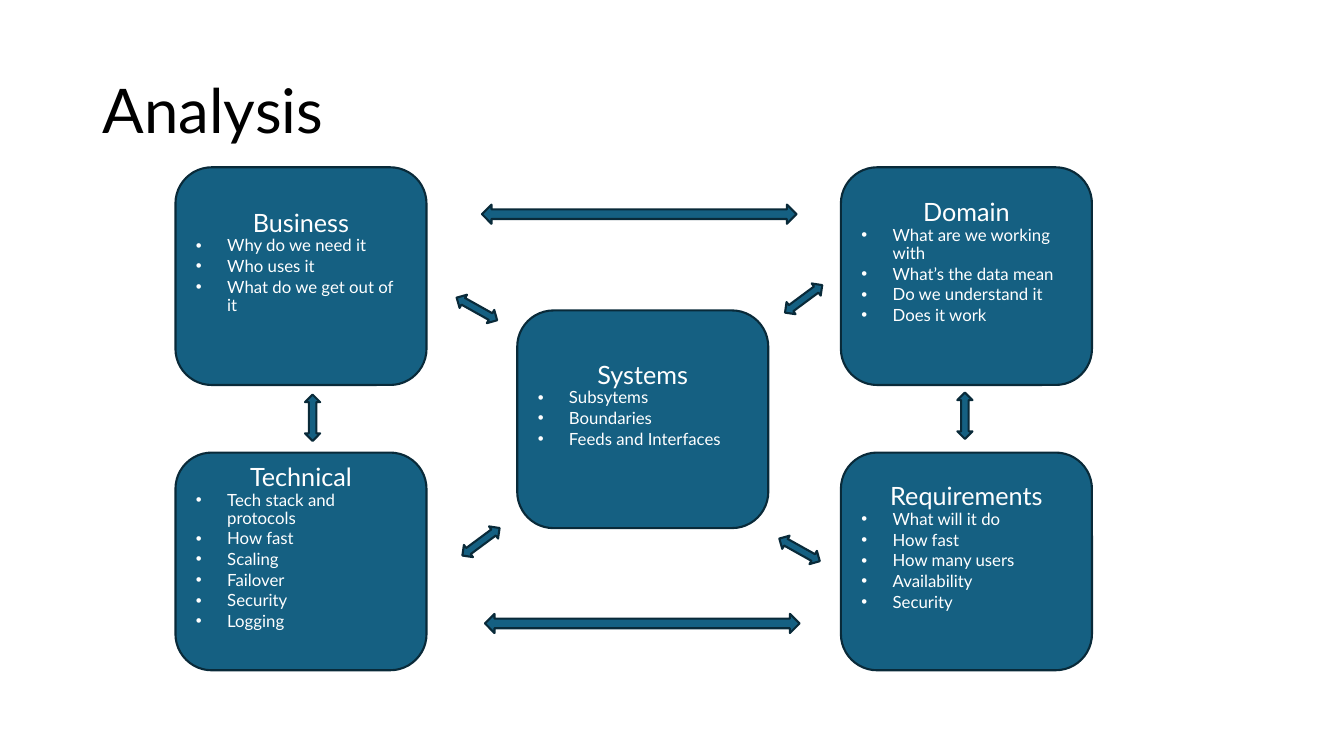
from lxml.etree import SubElement
from pptx import Presentation
from pptx.dml.color import RGBColor
from pptx.enum.shapes import MSO_SHAPE
from pptx.enum.text import MSO_ANCHOR, PP_ALIGN
from pptx.oxml.ns import qn
from pptx.util import Inches, Pt

BLUE = RGBColor(0x15, 0x60, 0x82)
NAVY = RGBColor(0x09, 0x2A, 0x39)
WHITE = RGBColor(0xFF, 0xFF, 0xFF)
BLACK = RGBColor(0x00, 0x00, 0x00)
FONT = "Lato"

# Card grid: two outer columns, two outer rows, one card between them
LEFT, CENTER, RIGHT = 1.74, 5.13, 8.34
TOP, MIDDLE, BOTTOM = 1.66, 3.08, 4.49
CARD_SIZE = (2.49, 2.16)

AREAS = [
    ("Business", LEFT, TOP,
     ["Why do we need it", "Who uses it", "What do we get out of it"]),
    ("Domain", RIGHT, TOP,
     ["What are we working with", "What’s the data mean",
      "Do we understand it", "Does it work"]),
    ("Technical", LEFT, BOTTOM,
     ["Tech stack and protocols", "How fast", "Scaling", "Failover",
      "Security", "Logging"]),
    ("Requirements", RIGHT, BOTTOM,
     ["What will it do", "How fast", "How many users", "Availability",
      "Security"]),
    ("Systems", CENTER, MIDDLE,
     ["Subsytems", "Boundaries", "Feeds and Interfaces"]),
]

# Links: left, top, rotation
LONG_LINK = (3.12, 0.19)
SHORT_LINK = (0.46, 0.15)
LONG_LINKS = [(4.78, 2.03, 0), (4.81, 6.09, 0)]
SHORT_LINKS = [
    (2.87, 4.07, 90), (9.34, 4.05, 90),
    (7.74, 2.89, 143.5), (4.54, 5.3, 143.5),
    (4.5, 2.99, 209.2), (7.7, 5.38, 209.2),
]


def write(paragraph, text, size, color=WHITE, align=PP_ALIGN.LEFT,
          line_spacing=None, space_after=None, bullet=False):
    paragraph.alignment = align
    paragraph.line_spacing = line_spacing
    paragraph.space_after = space_after
    run = paragraph.add_run()
    run.text = text
    run.font.name = FONT
    run.font.size = Pt(size)
    run.font.color.rgb = color
    if bullet:
        paragraph.level = 1
        properties = paragraph._p.get_or_add_pPr()
        properties.set("marL", str(Inches(0.31)))
        properties.set("indent", str(-Inches(0.31)))
        SubElement(properties, qn("a:buFont"), typeface="Arial")
        SubElement(properties, qn("a:buChar"), char="•")


def add_outlined(slide, preset, left, top, size, rotation=0):
    width, height = size
    outlined = slide.shapes.add_shape(
        preset, Inches(left), Inches(top), Inches(width), Inches(height))
    outlined.rotation = rotation
    outlined.shadow.inherit = False
    outlined.fill.solid()
    outlined.fill.fore_color.rgb = BLUE
    outlined.line.color.rgb = NAVY
    outlined.line.width = Pt(1.5)
    return outlined


def add_card(slide, heading, left, top, points):
    card = add_outlined(slide, MSO_SHAPE.ROUNDED_RECTANGLE, left, top,
                        CARD_SIZE)
    frame = card.text_frame
    frame.word_wrap = True
    frame.vertical_anchor = MSO_ANCHOR.MIDDLE
    # The deeper bottom margin lifts the text above the card's middle
    frame.margin_bottom = Inches(0.35)
    write(frame.paragraphs[0], heading, 18, align=PP_ALIGN.CENTER)
    for point in points:
        write(frame.add_paragraph(), point, 12, line_spacing=0.9,
              space_after=Pt(1.8), bullet=True)


def add_title(slide, text):
    title = slide.shapes.title
    title.left, title.top = Inches(0.92), Inches(0.4)
    title.width, title.height = Inches(11.5), Inches(1.45)
    title.text_frame.vertical_anchor = MSO_ANCHOR.MIDDLE
    write(title.text_frame.paragraphs[0], text, 44, color=BLACK,
          line_spacing=0.9)


def main():
    deck = Presentation()
    deck.slide_width, deck.slide_height = Inches(13.33), Inches(7.5)
    slide = deck.slides.add_slide(deck.slide_layouts[5])
    add_title(slide, "Analysis")

    # Analysis areas
    for area in AREAS:
        add_card(slide, *area)

    # Two-way links between the areas
    for size, links in ((LONG_LINK, LONG_LINKS), (SHORT_LINK, SHORT_LINKS)):
        for left, top, rotation in links:
            add_outlined(slide, MSO_SHAPE.LEFT_RIGHT_ARROW, left, top, size,
                         rotation)

    deck.save("out.pptx")


if __name__ == "__main__":
    main()
